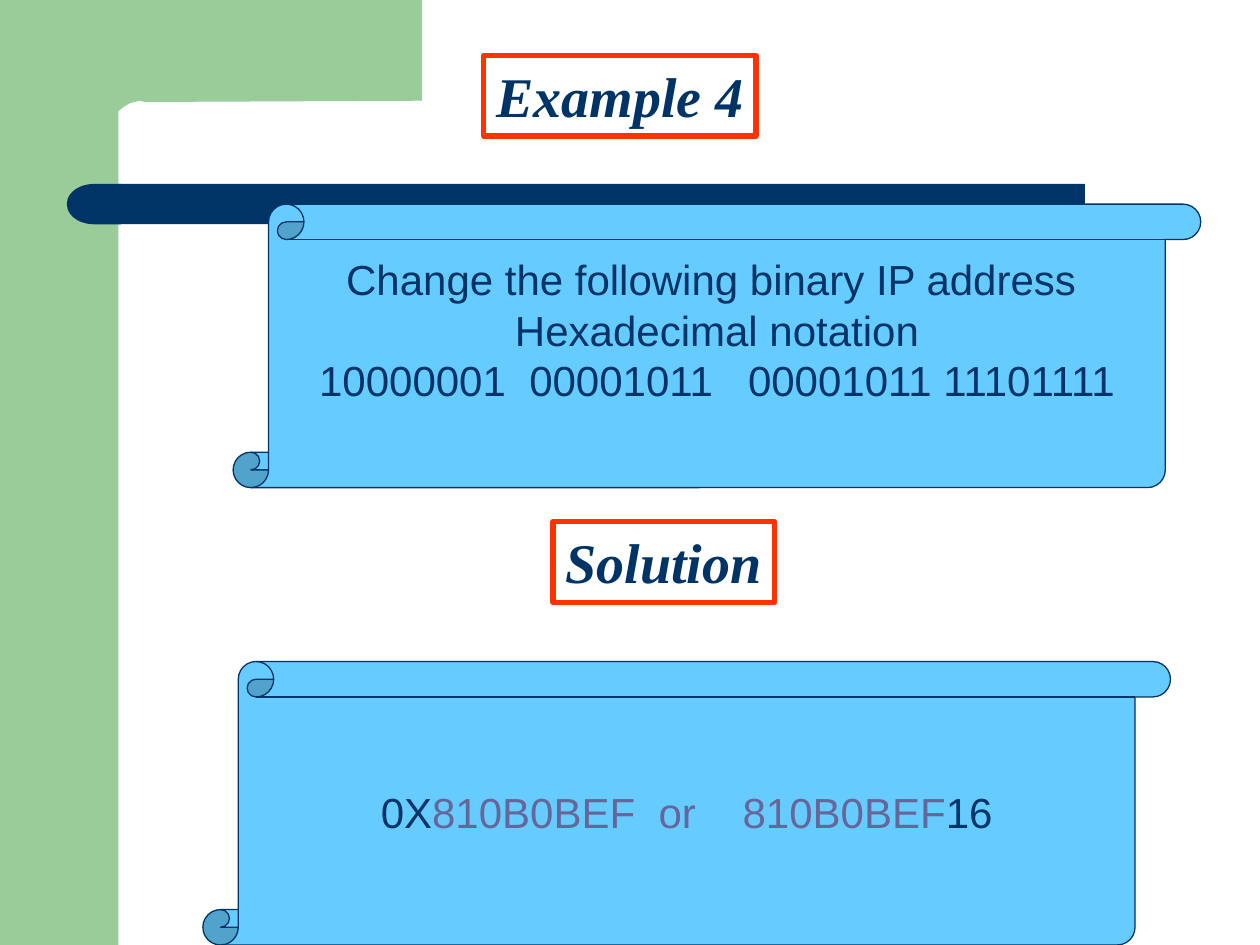
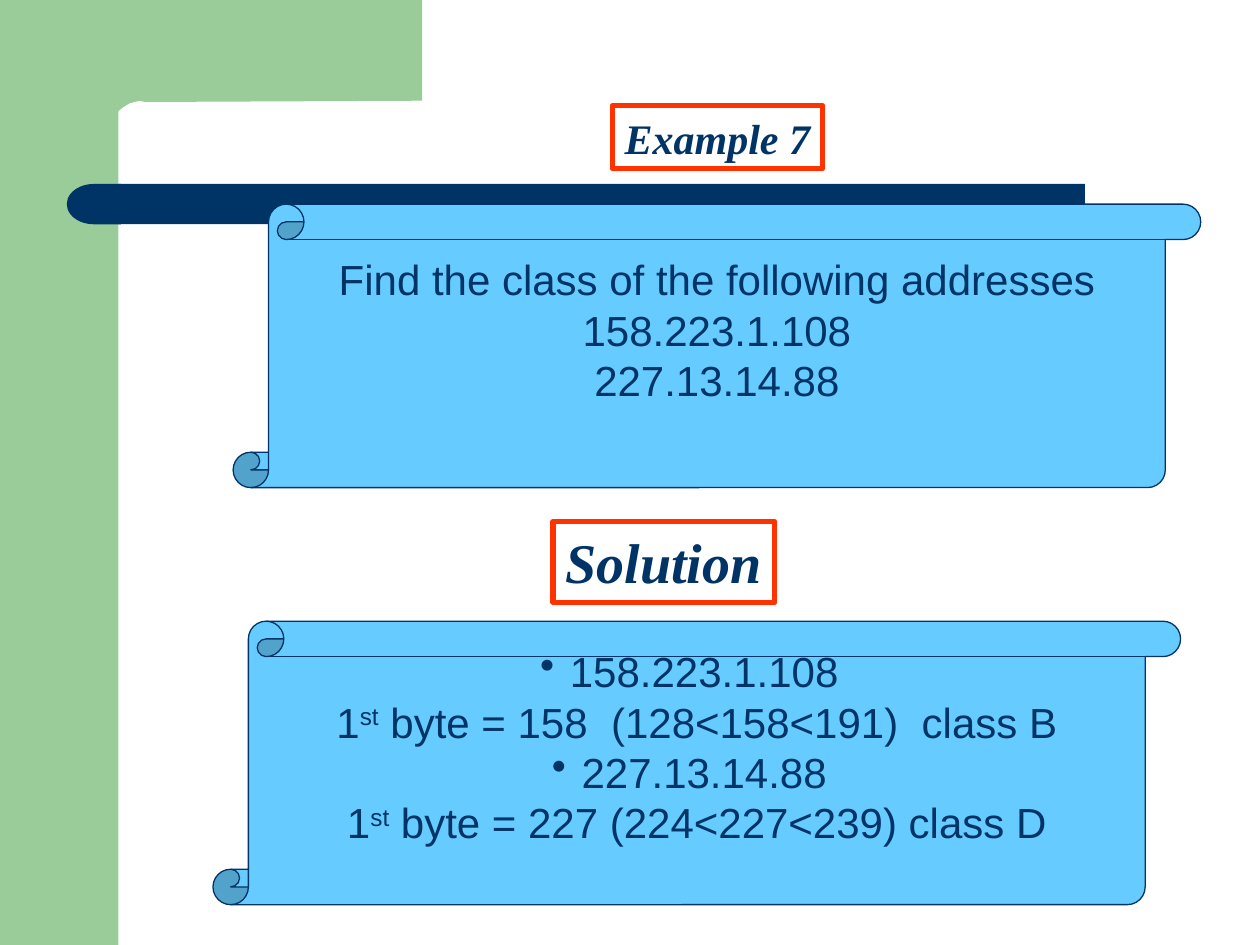
from dataclasses import dataclass

import pptx
import pptx.dml.color
import pptx.enum.shapes
import pptx.enum.text
import pptx.oxml.ns
import pptx.util
from lxml import etree

Inches, Pt = pptx.util.Inches, pptx.util.Pt
Shape = pptx.enum.shapes.MSO_SHAPE
Align = pptx.enum.text.PP_ALIGN
Anchor = pptx.enum.text.MSO_ANCHOR


@dataclass(frozen=True)
class Theme:
    green: str = "99CC99"
    navy: str = "003366"
    red: str = "FF3300"
    sky: str = "66CCFF"
    violet: str = "666699"
    white: str = "FFFFFF"
    heading_font: str = "Times New Roman"
    body_font: str = "Arial"
    heading_size: int = 32
    body_size: int = 24
    line_height: float = 1.2
    space_width: float = 0.278  # share of the type size


THEME = Theme()
SCROLL_SIZE = (7.68, 2.25)
CORNER_OUTLINE = [
    (3.35, 0), (3.35, 0.8), (1.15, 0.81), (1.11, 0.8), (1.03, 0.82),
    (0.98, 0.85), (0.93, 0.89), (0.9, 0.94), (0.87, 1), (0.85, 1.06),
    (0.85, 1.12), (0.85, 1.23), (0.53, 1.23), (0.53, 0),
]


def rgb(value):
    return pptx.dml.color.RGBColor.from_string(value)


# Shapes
def paint(shape, fill, line=None, width=0):
    shape.shadow.inherit = False
    shape.fill.solid()
    shape.fill.fore_color.rgb = rgb(fill)
    if line:
        shape.line.color.rgb = rgb(line)
        shape.line.width = Pt(width)
    else:
        shape.line.fill.background()


def add_panel(shapes, kind, box, *colours):
    panel = shapes.add_shape(kind, *map(Inches, box))
    paint(panel, *colours)
    return panel


# Text
def gap(spaces):
    """One space widened to the given number of spaces."""
    extra = (spaces - 1) * THEME.space_width * THEME.body_size
    return " ", {"spc": round(extra * 100)}


def raised(text):
    return text, {"baseline": 30000}


def tinted(text):
    return text, {"color": THEME.violet}


def add_run(paragraph, part, formats):
    text, extras = (part, {}) if isinstance(part, str) else part
    extras = dict(extras)
    run = paragraph.add_run()
    run.text = text
    run.font.color.rgb = rgb(extras.pop("color", THEME.navy))
    for name, value in formats.items():
        setattr(run.font, name, value)
    for name, value in extras.items():
        run._r.get_or_add_rPr().set(name, str(value))


def add_bullet(paragraph):
    properties = paragraph._p.get_or_add_pPr()
    colour = etree.SubElement(properties, pptx.oxml.ns.qn("a:buClr"))
    etree.SubElement(colour, pptx.oxml.ns.qn("a:srgbClr"), val=THEME.navy)
    etree.SubElement(properties, pptx.oxml.ns.qn("a:buChar"), char="•")


def write(shape, lines, size, align, anchor, formats, bulleted=()):
    frame = shape.text_frame
    frame.word_wrap = False
    frame.vertical_anchor = anchor
    for index, parts in enumerate(lines):
        paragraph = frame.paragraphs[0] if index == 0 else frame.add_paragraph()
        paragraph.alignment = align
        paragraph.line_spacing = Pt(size * THEME.line_height)
        if index in bulleted:
            add_bullet(paragraph)
        for part in parts:
            add_run(paragraph, part, {"size": Pt(size), **formats})


# Elements of the slides
def add_backdrop(slide):
    add_panel(slide.shapes, Shape.RECTANGLE, (0, 0, 0.94, 7.5), THEME.green)
    start, *rest = [(Inches(x), Inches(y)) for x, y in CORNER_OUTLINE]
    builder = slide.shapes.build_freeform(*start)
    builder.add_line_segments(rest, close=True)
    paint(builder.convert_to_shape(), THEME.green)

    bar = slide.shapes.add_group_shape().shapes
    add_panel(bar, Shape.RECTANGLE, (0.94, 1.46, 7.67, 0.32), THEME.navy)
    bar_end = add_panel(bar, Shape.FLOWCHART_DELAY, (0.53, 1.46, 0.43, 0.32), THEME.navy)
    bar_end.rotation = 180


def add_heading(slide, text, box, size=THEME.heading_size):
    heading = add_panel(slide.shapes, Shape.RECTANGLE, box, THEME.white, THEME.red, 3)
    write(heading, [[text]], size, Align.LEFT, Anchor.TOP,
          {"name": THEME.heading_font, "bold": True, "italic": True})


def add_scroll(slide, left, top, lines, bulleted=(), room_below=0):
    """room_below is the number of lines kept free under the text."""
    scroll = add_panel(slide.shapes, Shape.VERTICAL_SCROLL,
                       (left, top, *SCROLL_SIZE), THEME.sky, THEME.navy, 0.75)
    free_height = room_below * THEME.body_size * THEME.line_height
    scroll.text_frame.margin_bottom = Inches(0.05) + Pt(free_height)
    write(scroll, lines, THEME.body_size, Align.CENTER, Anchor.MIDDLE,
          {"name": THEME.body_font}, bulleted)


def add_example(deck, title, title_box, title_size, question, answer, answer_at, **answer_layout):
    slide = deck.slides.add_slide(deck.slide_layouts[6])
    add_backdrop(slide)
    add_heading(slide, title, title_box, title_size)
    add_heading(slide, "Solution", (4.39, 4.14, 1.76, 0.64))
    add_scroll(slide, 1.85, 1.62, question, room_below=1)
    add_scroll(slide, *answer_at, answer, **answer_layout)


def main():
    deck = pptx.Presentation()
    deck.slide_width, deck.slide_height = Inches(10), Inches(7.5)

    # Binary to hexadecimal
    add_example(
        deck, "Example 4", (3.84, 0.44, 2.16, 0.64), THEME.heading_size,
        question=[
            ["Change the following binary IP address "],
            ["Hexadecimal notation"],
            ["10000001", gap(2), "00001011", gap(3), "00001011 11101111"],
        ],
        answer=[["0X", tinted("810B0BEF"), gap(2), tinted("or"), gap(4),
                 tinted("810B0BEF"), "16"]],
        answer_at=(1.61, 5.25),
    )

    # Address classes
    addresses = ["158.223.1.108", "227.13.14.88"]
    add_example(
        deck, "Example 7", (4.86, 0.84, 1.67, 0.5), THEME.body_size,
        question=[["Find the class of the following addresses"],
                  *[[address] for address in addresses]],
        answer=[
            [addresses[0]],
            ["1", raised("st"), " byte = 158", gap(2), "(128<158<191)", gap(2), "class B"],
            [addresses[1]],
            ["1", raised("st"), " byte = 227 (224<227<239) class D"],
        ],
        answer_at=(1.69, 4.93), bulleted=(0, 2), room_below=1,
    )
    deck.save("out.pptx")


if __name__ == "__main__":
    main()
